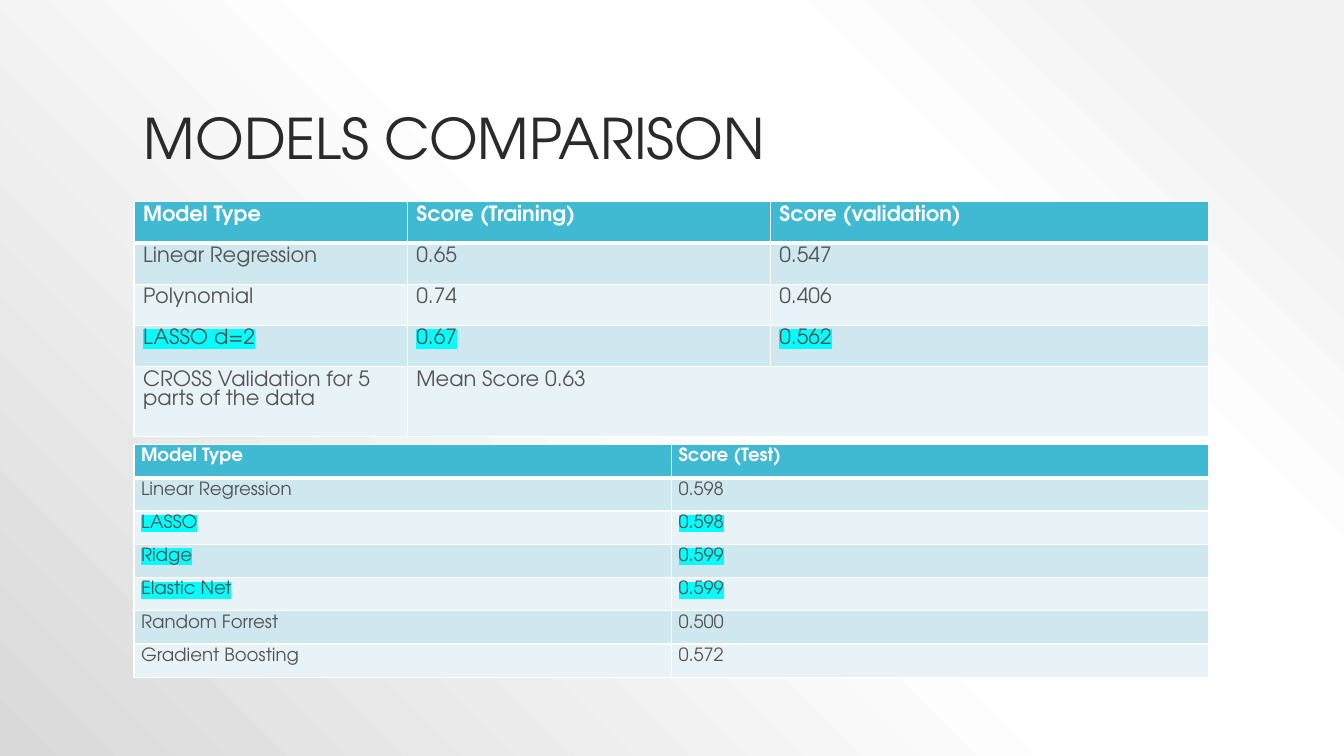
"""Build the models comparison slide with its two score tables."""
from dataclasses import dataclass

from lxml.etree import SubElement
from pptx import Presentation
from pptx.dml.color import RGBColor
from pptx.enum.text import MSO_ANCHOR
from pptx.oxml import parse_xml
from pptx.oxml.ns import nsdecls, qn
from pptx.util import Pt

PX = 9144


@dataclass(frozen=True)
class Theme:
    font: str = "TeX Gyre Adventor"
    title: str = "2A2A2A"
    text: str = "545454"
    white: str = "FFFFFF"
    header: str = "40BAD2"
    bands: tuple[str, str] = ("CFE7EE", "E8F3F7")
    highlight: str = "00FFFF"
    backdrop: tuple[tuple[int, str], ...] = (
        (10, "F2F2F2"), (28, "FFFFFF"), (48, "FFFFFF"), (100, "D9D9D9"))
    title_size: int = 40
    rule: int = 1
    header_rule: int = 3


@dataclass(frozen=True)
class ScoreTable:
    top: int
    cols: tuple[int, ...]
    heights: tuple[int, ...]
    margin: int
    size: int
    rows: tuple[tuple[str, ...], ...]
    best: tuple[int, ...]


THEME = Theme()
LEFT, WIDTH = 133, 1067

TEST = ScoreTable(
    top=441, cols=(533, 533), heights=(33,) * 7, margin=7, size=13,
    rows=(("Model Type", "Score (Test)"),
          ("Linear Regression", "0.598"),
          ("LASSO", "0.598"),
          ("Ridge", "0.599"),
          ("Elastic Net", "0.599"),
          ("Random Forrest", "0.500"),
          ("Gradient Boosting", "0.572")),
    best=(2, 3, 4))

VALIDATION = ScoreTable(
    top=200, cols=(271, 360, 435), heights=(41,) * 4 + (69,), margin=9, size=15,
    rows=(("Model Type", "Score (Training)", "Score (validation)"),
          ("Linear Regression", "0.65", "0.547"),
          ("Polynomial", "0.74", "0.406"),
          ("LASSO d=2", "0.67", "0.562"),
          ("CROSS Validation for 5 parts of the data", "Mean Score 0.63")),
    best=(3,))


def set_background(s) -> None:
    """Fill the slide with a radial gradient centred on the top right corner."""
    s.background.fill.solid()
    solid = next(s._element.iter(qn("a:solidFill")))
    stops = "".join(f'<a:gs pos="{pos * 1000}"><a:srgbClr val="{color}"/></a:gs>'
                    for pos, color in THEME.backdrop)
    solid.getparent().replace(solid, parse_xml(
        f'<a:gradFill {nsdecls("a")} rotWithShape="1"><a:gsLst>{stops}</a:gsLst>'
        '<a:path path="circle"><a:fillToRect l="100000" b="100000"/></a:path>'
        '</a:gradFill>'))


def style_text(p, size: int, color: str, bold: bool = False) -> None:
    """Set the paragraph's font."""
    p.font.name = THEME.font
    p.font.size = Pt(size)
    p.font.bold = bold
    p.font.color.rgb = RGBColor.from_string(color)


def add_title(s, text: str) -> None:
    """Add the bottom-anchored slide title."""
    tf = s.shapes.add_textbox(LEFT * PX, 30 * PX, WIDTH * PX, 145 * PX).text_frame
    tf.word_wrap = True
    tf.vertical_anchor = MSO_ANCHOR.BOTTOM
    p = tf.paragraphs[0]
    p.text = text
    p.line_spacing = 0.9
    style_text(p, THEME.title_size, THEME.title)


def set_borders(cell, bottom: int) -> None:
    """Draw white rules on all sides of a cell, before its fill is set."""
    tc_pr = cell._tc.get_or_add_tcPr()
    widths = {"L": THEME.rule, "R": THEME.rule, "T": THEME.rule, "B": bottom}
    for side, width in widths.items():
        ln = SubElement(tc_pr, qn(f"a:ln{side}"), w=str(Pt(width)))
        fill = SubElement(ln, qn("a:solidFill"))
        SubElement(fill, qn("a:srgbClr"), val=THEME.white)


def add_highlight(r) -> None:
    """Mark a run with the highlight colour."""
    mark = SubElement(r._r.get_or_add_rPr(), qn("a:highlight"))
    SubElement(mark, qn("a:srgbClr"), val=THEME.highlight)


def style_cell(cell, spec: ScoreTable, row: int) -> None:
    """Give a cell the margins, rules, fill and font of its row."""
    header = row == 0
    cell.margin_left = cell.margin_right = spec.margin * PX
    cell.margin_top = cell.margin_bottom = 4 * PX
    set_borders(cell, THEME.header_rule if header else THEME.rule)
    cell.fill.solid()
    cell.fill.fore_color.rgb = RGBColor.from_string(
        THEME.header if header else THEME.bands[(row - 1) % 2])
    style_text(cell.text_frame.paragraphs[0], spec.size,
               THEME.white if header else THEME.text, header)


def add_score_table(s, spec: ScoreTable) -> None:
    """Add a score table; a short row's last cell spans the remaining columns."""
    count = len(spec.cols)
    table = s.shapes.add_table(
        len(spec.rows), count, LEFT * PX, spec.top * PX,
        sum(spec.cols) * PX, sum(spec.heights) * PX).table
    table.first_row = table.horz_banding = False
    for column, width in zip(table.columns, spec.cols):
        column.width = width * PX
    for i, texts in enumerate(spec.rows):
        table.rows[i].height = spec.heights[i] * PX
        for j in range(count):
            style_cell(table.cell(i, j), spec, i)
        for j, text in enumerate(texts):
            r = table.cell(i, j).text_frame.paragraphs[0].add_run()
            r.text = text
            if i in spec.best:
                add_highlight(r)
        if len(texts) < count:
            table.cell(i, len(texts) - 1).merge(table.cell(i, count - 1))


def main() -> None:
    """Build and save the presentation."""
    prs = Presentation()
    prs.slide_width, prs.slide_height = 1333 * PX, 750 * PX
    s = prs.slides.add_slide(prs.slide_layouts[6])
    set_background(s)
    add_score_table(s, TEST)
    add_title(s, "MODELS COMPARISON")
    add_score_table(s, VALIDATION)
    prs.save("out.pptx")


if __name__ == "__main__":
    main()
